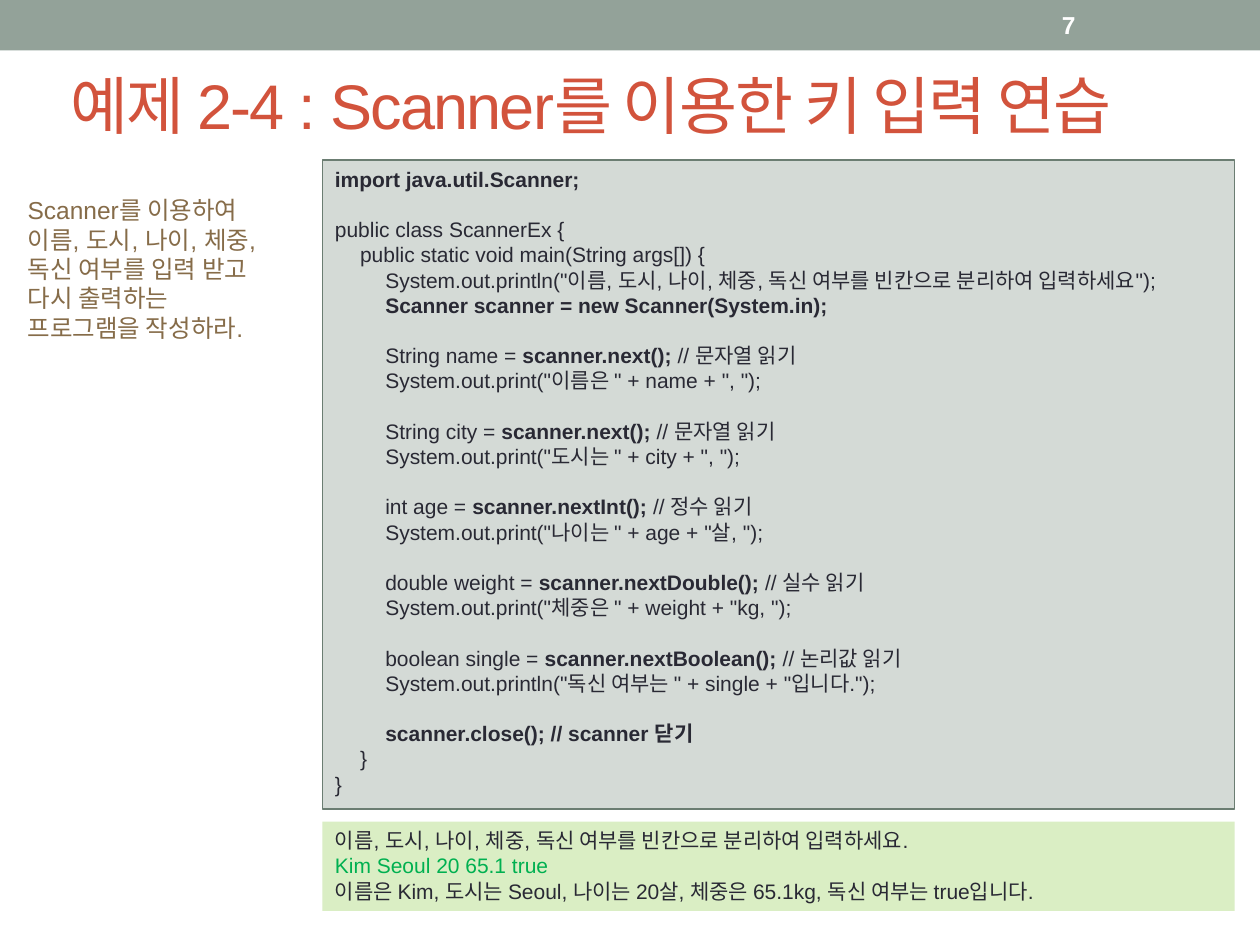
from pptx import Presentation
from pptx.dml.color import RGBColor
from pptx.enum.shapes import MSO_SHAPE as Shape
from pptx.enum.text import MSO_ANCHOR as Anchor, MSO_AUTO_SIZE as AutoSize, PP_ALIGN as Align
from pptx.oxml.ns import qn
from pptx.util import Inches, Pt
from lxml.etree import SubElement

FONT = "Arial"
BAND = RGBColor(0x93, 0xA2, 0x99)
TITLE = RGBColor(0xD2, 0x53, 0x3C)
INK = RGBColor(0x29, 0x29, 0x34)
BROWN = RGBColor(0x86, 0x6C, 0x49)
GREEN = RGBColor(0x00, 0xB0, 0x50)
WHITE = RGBColor(0xFF, 0xFF, 0xFF)
CODE_FILL = RGBColor(0xD4, 0xDA, 0xD6)
CODE_LINE = RGBColor(0x6B, 0x7D, 0x72)
OUTPUT_FILL = RGBColor(0xDA, 0xEE, 0xC4)
LINE_FACTOR = 1.2
TAB_STEP = 0.2

PROMPT = "이름, 도시, 나이, 체중, 독신 여부를 빈칸으로 분리하여 입력하세요"

# Each reading: declaration, Scanner method, comment, statement that prints it
READINGS = [
    ("String name", "next", "문자열", 'print("이름은 " + name + ", ");'),
    ("String city", "next", "문자열", 'print("도시는 " + city + ", ");'),
    ("int age", "nextInt", "정수", 'print("나이는 " + age + "살, ");'),
    ("double weight", "nextDouble", "실수", 'print("체중은 " + weight + "kg, ");'),
    ("boolean single", "nextBoolean", "논리값", 'println("독신 여부는 " + single + "입니다.");'),
]


def add_span(para, text, size, color, bold=False):
    span = para.add_run()
    span.text = text
    span.font.name = FONT
    span.font.size = Pt(size)
    span.font.bold = bold
    span.font.color.rgb = color
    return span


def next_para(frame, index, size):
    para = frame.paragraphs[0] if index == 0 else frame.add_paragraph()
    para.alignment = Align.LEFT
    para.line_spacing = Pt(size * LINE_FACTOR)
    return para


def add_rect(page, box, fill, line=None):
    rect = page.shapes.add_shape(Shape.RECTANGLE, *map(Inches, box))
    rect.shadow.inherit = False
    rect.fill.solid()
    rect.fill.fore_color.rgb = fill
    if line is None:
        rect.line.fill.background()
    else:
        rect.line.color.rgb = line
        rect.line.width = Pt(0.75)
    rect.text_frame.word_wrap = True
    rect.text_frame.vertical_anchor = Anchor.TOP
    return rect


def set_tab_stops(para, count):
    stops = SubElement(para._p.get_or_add_pPr(), qn("a:tabLst"))
    for number in range(1, count + 1):
        position = Inches(number * TAB_STEP)
        SubElement(stops, qn("a:tab"), pos=str(position), algn="l")


def code_lines():
    """Yield (gap before the line, indent level, [(text, bold), ...])."""
    yield False, 0, [("import java.util.Scanner;", True)]
    yield True, 0, [("public class ScannerEx {", False)]
    yield False, 1, [("public static void main(String args[]) {", False)]
    yield False, 2, [(f'System.out.println("{PROMPT}");', False)]
    yield False, 2, [("Scanner scanner = new Scanner(System.in);", True)]
    for declaration, method, kind, statement in READINGS:
        yield True, 2, [(f"{declaration} = ", False),
                        (f"scanner.{method}(); ", True),
                        (f"// {kind} 읽기", False)]
        yield False, 2, [(f"System.out.{statement}", False)]
    yield True, 2, [("scanner.close(); // scanner 닫기", True)]
    yield False, 1, [("}", False)]
    yield False, 0, [("}", False)]


def place_header(page, box, number):
    left, top, width, height = box
    add_rect(page, box, BAND)
    label = page.shapes.add_textbox(Inches(left + 8.33), Inches(top + 0.02),
                                    Inches(1.17), Inches(height - 0.04))
    label.text_frame.word_wrap = True
    label.text_frame.vertical_anchor = Anchor.MIDDLE
    add_span(label.text_frame.paragraphs[0], number, 14, WHITE, True)


def place_title(page, box, text):
    title = page.shapes.title
    title.left, title.top, title.width, title.height = map(Inches, box)
    frame = title.text_frame
    frame.auto_size = AutoSize.NONE
    frame.vertical_anchor = Anchor.MIDDLE
    frame.paragraphs[0].alignment = Align.LEFT
    span = add_span(frame.paragraphs[0], text, 36, TITLE)
    span.font._element.set("spc", "-100")


def place_code(page, box, size=12):
    frame = add_rect(page, box, CODE_FILL, CODE_LINE).text_frame
    for index, (gap, level, spans) in enumerate(code_lines()):
        para = next_para(frame, index, size)
        if gap:
            para.space_before = Pt(size * LINE_FACTOR)
        if level:
            set_tab_stops(para, level)
            add_span(para, "\t" * level, size, INK)
        for text, bold in spans:
            add_span(para, text, size, INK, bold)


def place_task(page, box, lines, size=14):
    frame = page.shapes.add_textbox(*map(Inches, box)).text_frame
    frame.word_wrap = True
    for index, text in enumerate(lines):
        add_span(next_para(frame, index, size), text, size, BROWN)


def place_output(page, box, lines, size=12):
    frame = add_rect(page, box, OUTPUT_FILL).text_frame
    for index, (text, color) in enumerate(lines):
        add_span(next_para(frame, index, size), text, size, color)


def main():
    deck = Presentation()
    deck.slide_width, deck.slide_height = Inches(10), Inches(7.5)
    page = deck.slides.add_slide(deck.slide_layouts[5])

    place_header(page, (0, 0, 10, 0.4), "7")
    place_title(page, (0.46, 0.29, 9, 1.08), "예제 2-4 : Scanner를 이용한 키 입력 연습")
    place_code(page, (2.56, 1.27, 7.24, 5.15))
    place_task(page, (0.12, 1.5, 2.22, 1.28), [
        "Scanner를 이용하여",
        "이름, 도시, 나이, 체중,",
        "독신 여부를 입력 받고",
        "다시 출력하는",
        "프로그램을 작성하라.",
    ])
    place_output(page, (2.56, 6.52, 7.24, 0.71), [
        (f"{PROMPT}.", INK),
        ("Kim Seoul 20 65.1 true", GREEN),
        ("이름은 Kim, 도시는 Seoul, 나이는 20살, 체중은 65.1kg, 독신 여부는 true입니다.", INK),
    ])
    deck.save("out.pptx")


if __name__ == "__main__":
    main()
